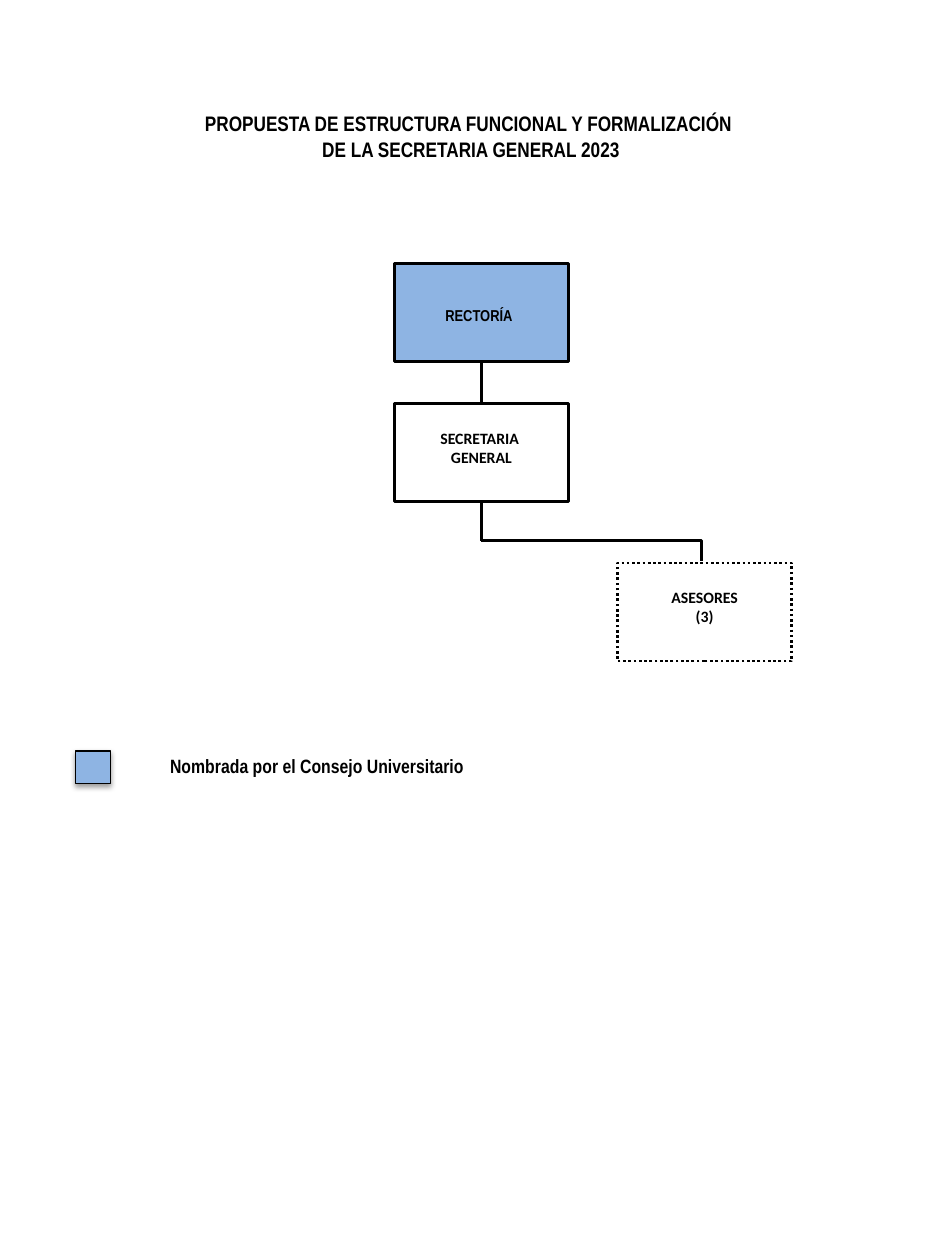
from lxml.etree import SubElement
from pptx import Presentation
from pptx.dml.color import RGBColor
from pptx.enum.dml import MSO_LINE
from pptx.enum.shapes import MSO_CONNECTOR, MSO_SHAPE
from pptx.enum.text import MSO_ANCHOR, MSO_AUTO_SIZE, PP_ALIGN
from pptx.oxml.ns import qn
from pptx.util import Cm, Pt

COLORS = {"black": "000000", "blue": "8EB4E3"}
BOX_W, BOX_H = 3.51, 1.98
MAIN_X = 7.95


def rgb(name):
    return RGBColor.from_string(COLORS[name])


def write(sp, text, font="Arial Narrow", size=9, align=PP_ALIGN.CENTER,
          anchor=MSO_ANCHOR.MIDDLE, margins=(0.25, 0.13, 0.25, 0.13)):
    """Write bold black text, one paragraph per line; margins in cm."""
    tf = sp.text_frame
    tf.word_wrap = True
    tf.auto_size = MSO_AUTO_SIZE.NONE
    tf.vertical_anchor = anchor
    (tf.margin_left, tf.margin_top,
     tf.margin_right, tf.margin_bottom) = map(Cm, margins)
    tf.text = text
    for p in tf.paragraphs:
        p.alignment = align
        p.space_before = Pt(0)
        p.line_spacing = 1.0
        for r in p.runs:
            r.font.name = font
            r.font.size = Pt(size)
            r.font.bold = True
            r.font.color.rgb = rgb("black")


def add_box(s, x, y, w=BOX_W, h=BOX_H, fill=None, line=1.5, dash=None,
            shape=MSO_SHAPE.RECTANGLE):
    sp = s.shapes.add_shape(shape, Cm(x), Cm(y), Cm(w), Cm(h))
    sp.shadow.inherit = False
    if fill:
        sp.fill.solid()
        sp.fill.fore_color.rgb = rgb(fill)
    else:
        sp.fill.background()
    sp.line.color.rgb = rgb("black")
    sp.line.width = Pt(line)
    if dash:
        sp.line.dash_style = dash
    return sp


def add_drop_shadow(sp):
    effects = sp._element.spPr.find(qn("a:effectLst"))
    shadow = SubElement(effects, qn("a:outerShdw"), blurRad=str(Pt(3.1)),
                        dist=str(Pt(1.6)), dir="5400000", rotWithShape="0")
    color = SubElement(shadow, qn("a:srgbClr"), val=COLORS["black"])
    SubElement(color, qn("a:alpha"), val="38000")


def add_line(s, x1, y1, x2, y2, kind=MSO_CONNECTOR.STRAIGHT):
    c = s.shapes.add_connector(kind, Cm(x1), Cm(y1), Cm(x2), Cm(y2))
    c.line.color.rgb = rgb("black")
    c.line.width = Pt(1.75)
    SubElement(c._element.spPr, qn("a:effectLst"))
    return c


def main():
    prs = Presentation()
    prs.slide_width, prs.slide_height = Cm(19.05), Cm(25.4)
    s = prs.slides.add_slide(prs.slide_layouts[5])

    # Title
    title = s.shapes.title
    title.left, title.top = Cm(3.12), Cm(2.11)
    title.width, title.height = Cm(12.75), Cm(1.27)
    write(title, "PROPUESTA DE ESTRUCTURA FUNCIONAL Y FORMALIZACIÓN \n"
                 "DE LA SECRETARIA GENERAL 2023", size=12)

    # Organisation boxes
    rectory = add_box(s, MAIN_X, 5.31, fill="blue",
                      shape=MSO_SHAPE.FLOWCHART_PROCESS)
    write(rectory, "RECTORÍA", margins=(0.1, 0.2, 0.2, 0.1))
    secretary = add_box(s, MAIN_X, 8.13)
    advisers = add_box(s, 12.45, 11.35, dash=MSO_LINE.ROUND_DOT)
    for sp, text in ((secretary, "SECRETARIA \nGENERAL"),
                     (advisers, "ASESORES\n(3)")):
        write(sp, text, font="Calibri", margins=(0.25, 0.13, 0.25, 0.33))

    # Connectors
    axis_x, branch_y = MAIN_X + BOX_W / 2, 10.9
    link = add_line(s, axis_x, 7.29, axis_x, 8.13)
    link.begin_connect(rectory, 2)
    link.end_connect(secretary, 0)
    stem = add_line(s, axis_x, 10.11, axis_x, branch_y)
    stem.begin_connect(secretary, 2)
    branch = add_line(s, axis_x, branch_y, 14.15, 11.3, MSO_CONNECTOR.ELBOW)
    branch._element.spPr.find(qn("a:prstGeom")).set("prst", "bentConnector2")

    # Legend
    add_drop_shadow(add_box(s, 1.52, 15.14, 0.71, 0.66, fill="blue", line=0.75))
    label = s.shapes.add_textbox(Cm(3.43), Cm(14.91), Cm(7.21), Cm(1.12))
    write(label, "Nombrada por el Consejo Universitario", size=11,
          align=PP_ALIGN.LEFT, anchor=MSO_ANCHOR.TOP,
          margins=(0, 0.3, 0.64, 0.3))

    prs.save("out.pptx")


if __name__ == "__main__":
    main()
